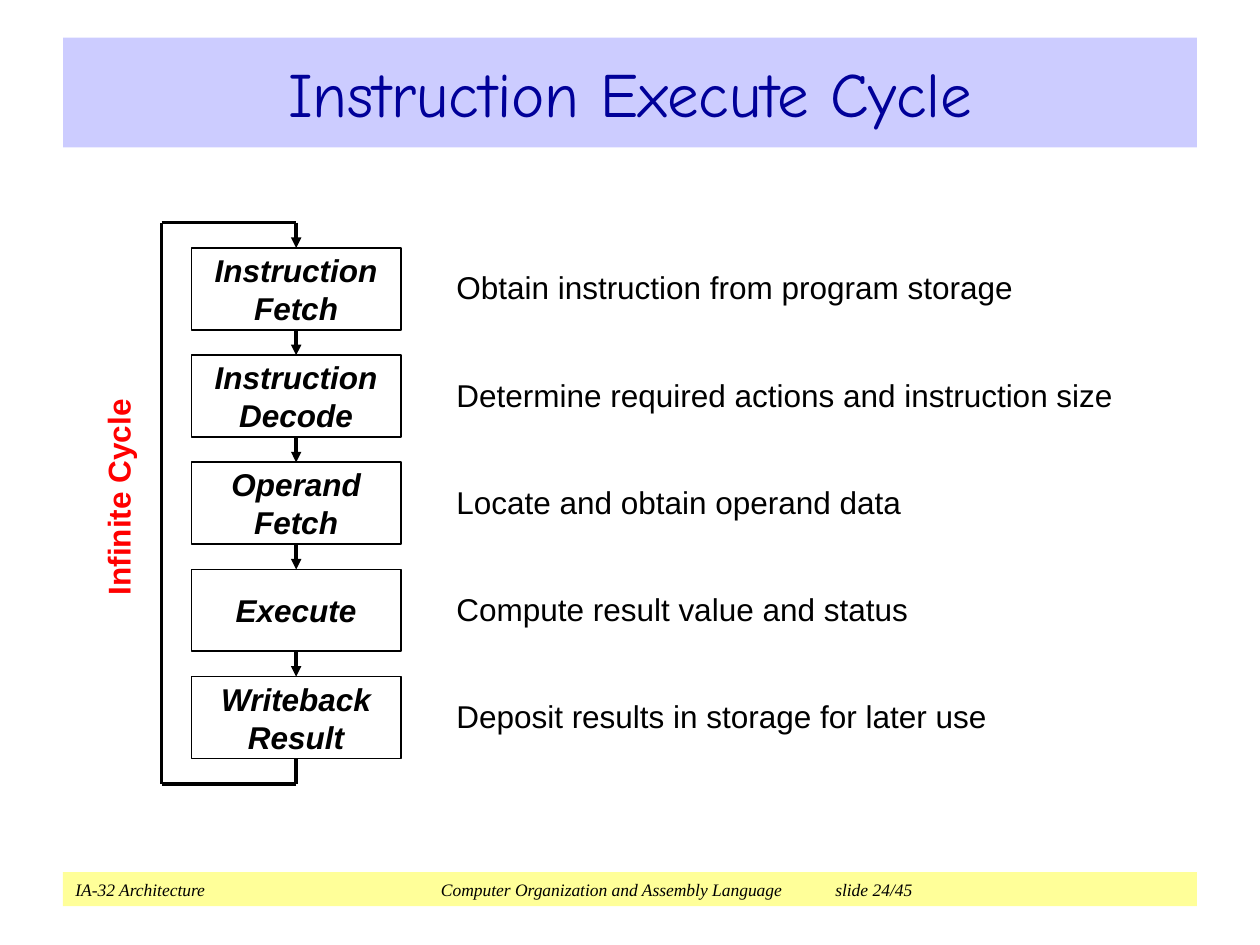
"""Build the Instruction Execute Cycle slide."""
from lxml import etree
from pptx import Presentation
from pptx.dml.color import RGBColor
from pptx.enum import shapes, text
from pptx.oxml.ns import qn
from pptx.util import Cm, Pt

TITLE = "Instruction Execute Cycle"
STAGES = [
    (["Instruction", "Fetch"], "Obtain instruction from program storage"),
    (["Instruction", "Decode"], "Determine required actions and instruction size"),
    (["Operand", "Fetch"], "Locate and obtain operand data"),
    (["Execute"], "Compute result value and status"),
    (["Writeback", "Result"], "Deposit results in storage for later use"),
]
CYCLE_LABEL = "Infinite Cycle"
FOOTER = ["IA-32 Architecture", "Computer Organization and Assembly Language", "slide 24/45"]
FOOTER_TABS = [7.37, 15.32]

COLORS = {
    "ink": "000000",
    "title": "000099",
    "title_band": "CCCCFF",
    "footer_band": "FFFF99",
    "cycle": "FF0000",
}
BAND_LEFT, BAND_WIDTH = 1.27, 22.86
BOX_LEFT, BOX_TOP, BOX_WIDTH, BOX_HEIGHT = 3.86, 5.0, 4.22, 1.65
GAP = 0.51
LOOP_X = 3.26
NOTE_LEFT, NOTE_WIDTH, LINE_HEIGHT = 9.02, 13.72, 0.89
LABEL_CENTER_X, LABEL_WIDTH = 2.41, 12.5


def color(name):
    return RGBColor.from_string(COLORS[name])


def paint(shape, name):
    shape.fill.solid()
    shape.fill.fore_color.rgb = color(name)
    shape.line.fill.background()


def write(shape, lines, size, font="Arial", ink="ink", align="LEFT", bold=False,
          italic=False, spacing=None, inset=(0.18, 0.08)):
    frame = shape.text_frame
    frame.word_wrap = True
    frame.auto_size = text.MSO_AUTO_SIZE.NONE
    frame.vertical_anchor = text.MSO_ANCHOR.MIDDLE
    frame.margin_left = frame.margin_right = Cm(inset[0])
    frame.margin_top = frame.margin_bottom = Cm(inset[1])
    for index, line in enumerate(lines):
        paragraph = frame.add_paragraph() if index else frame.paragraphs[0]
        paragraph.alignment = getattr(text.PP_ALIGN, align)
        paragraph.space_before = Pt(0)
        if spacing:
            paragraph.line_spacing = spacing
        run = paragraph.add_run()
        run.text = line
        run.font.name = font
        run.font.size = Pt(size)
        run.font.bold = bold
        run.font.italic = italic
        run.font.color.rgb = color(ink)


def add_rectangle(slide, left, top, width, height):
    shape = slide.shapes.add_shape(
        shapes.MSO_SHAPE.RECTANGLE, Cm(left), Cm(top), Cm(width), Cm(height))
    shape.shadow.inherit = False
    return shape


def add_line(slide, start, end, arrow=False):
    points = [Cm(value) for value in (*start, *end)]
    connector = slide.shapes.add_connector(shapes.MSO_CONNECTOR.STRAIGHT, *points)
    connector.line.color.rgb = color("ink")
    connector.line.width = Pt(2)
    if arrow:
        etree.SubElement(connector.line._get_or_add_ln(), qn("a:tailEnd"), type="triangle")
    etree.SubElement(connector._element.spPr, qn("a:effectLst"))


def add_title(slide):
    title = slide.shapes.title
    title.left, title.top = Cm(BAND_LEFT), Cm(0.76)
    title.width, title.height = Cm(BAND_WIDTH), Cm(2.21)
    paint(title, "title_band")
    write(title, [TITLE], 36, "Comic Neue", "title", "CENTER", inset=(0.25, 0.13))


def add_footer(slide):
    footer = add_rectangle(slide, BAND_LEFT, 17.58, BAND_WIDTH, 0.69)
    paint(footer, "footer_band")
    properties = footer.text_frame.paragraphs[0]._p.get_or_add_pPr()
    tabs = etree.SubElement(properties, qn("a:tabLst"))
    for position in FOOTER_TABS:
        etree.SubElement(tabs, qn("a:tab"), pos=str(Cm(position)), algn="l")
    write(footer, ["\t".join(FOOTER)], 10, "Times New Roman", italic=True, inset=(0.25, 0.13))


def add_text(slide, left, middle, width, words, **style):
    box = slide.shapes.add_textbox(
        Cm(left), Cm(middle - LINE_HEIGHT / 2), Cm(width), Cm(LINE_HEIGHT))
    write(box, [words], 18, spacing=0.97, **style)
    return box


def add_cycle(slide):
    center = BOX_LEFT + BOX_WIDTH / 2
    for index, (name, note) in enumerate(STAGES):
        top = BOX_TOP + index * (BOX_HEIGHT + GAP)
        box = add_rectangle(slide, BOX_LEFT, top, BOX_WIDTH, BOX_HEIGHT)
        box.fill.background()
        box.line.color.rgb = color("ink")
        box.line.width = Pt(1)
        write(box, name, 18, align="CENTER", bold=True, italic=True)
        add_line(slide, (center, top - GAP), (center, top), arrow=True)
        add_text(slide, NOTE_LEFT, top + BOX_HEIGHT / 2, NOTE_WIDTH, note, align="JUSTIFY")

    loop_top, bottom = BOX_TOP - GAP, top + BOX_HEIGHT
    route = [(center, bottom), (center, bottom + GAP), (LOOP_X, bottom + GAP),
             (LOOP_X, loop_top), (center, loop_top)]
    for start, end in zip(route, route[1:]):
        add_line(slide, start, end)

    label = add_text(slide, LABEL_CENTER_X - LABEL_WIDTH / 2, (BOX_TOP + bottom) / 2 - 0.12,
                     LABEL_WIDTH, CYCLE_LABEL, ink="cycle", align="CENTER", bold=True)
    label.rotation = 270


def main():
    presentation = Presentation()
    presentation.slide_width, presentation.slide_height = Cm(25.4), Cm(19.05)
    slide = presentation.slides.add_slide(presentation.slide_layouts[5])
    add_footer(slide)
    add_title(slide)
    add_cycle(slide)
    presentation.save("out.pptx")


if __name__ == "__main__":
    main()
